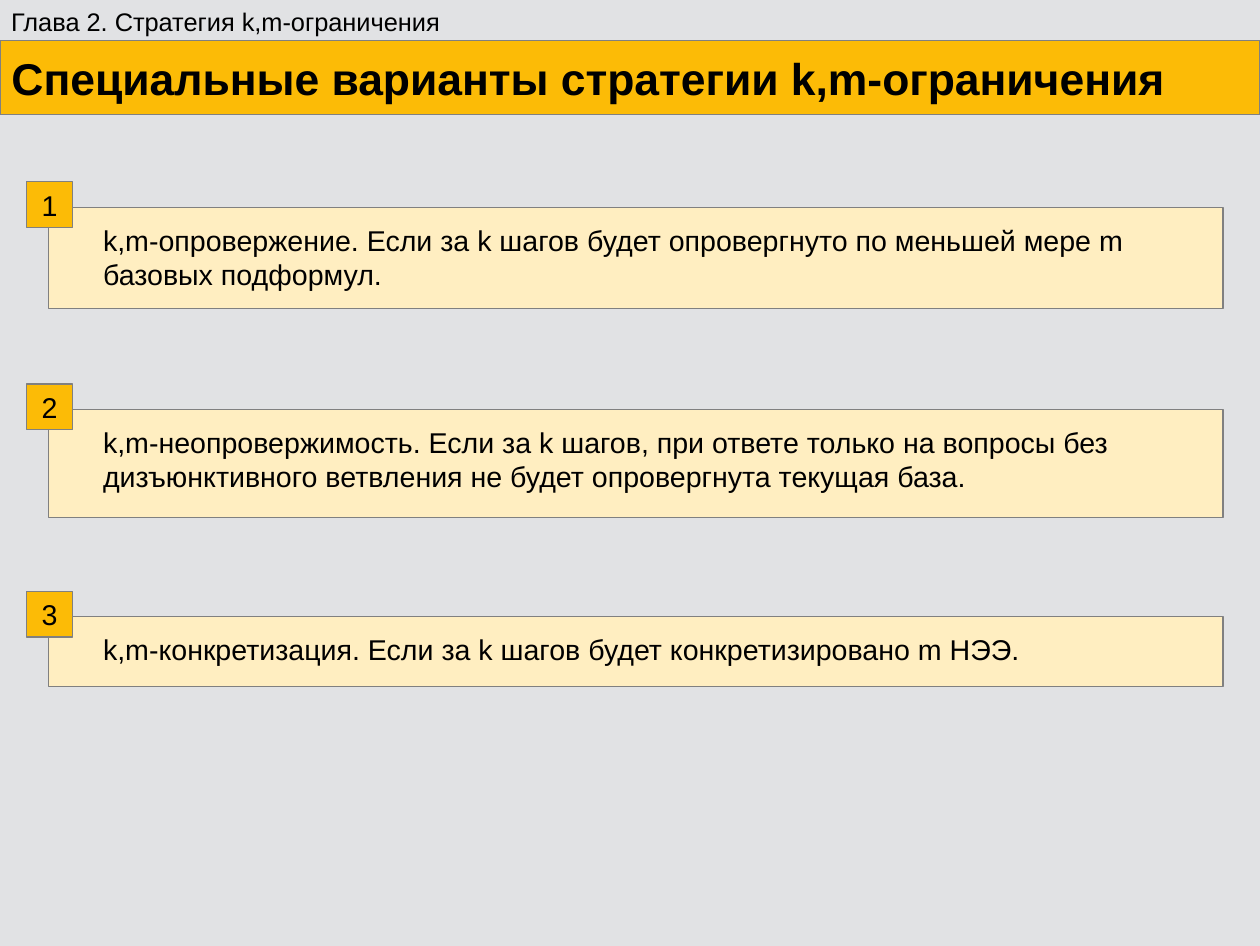
"""Build the slide on special variants of the k,m-restriction strategy."""
from pptx import Presentation
from pptx.dml.color import RGBColor
from pptx.enum import shapes, text
from pptx.util import Cm, Pt

AMBER, CREAM, GRAY = "FCBB06", "FFEEC1", "808080"


def paint(shape, color):
    shape.fill.solid()
    shape.fill.fore_color.rgb = RGBColor.from_string(color)
    shape.line.color.rgb = RGBColor.from_string(GRAY)
    shape.line.width = Pt(0)


def write(shape, words, size, align=text.PP_ALIGN.LEFT, wrap=False, bold=False):
    frame = shape.text_frame
    frame.text = words
    frame.word_wrap = wrap
    frame.auto_size = text.MSO_AUTO_SIZE.NONE
    for paragraph in frame.paragraphs:
        paragraph.alignment = align
        paragraph.font.name = "Arial"
        paragraph.font.size = Pt(size)
        paragraph.font.bold = bold
        paragraph.font.color.rgb = RGBColor.from_string("000000")


presentation = Presentation()
presentation.slide_width, presentation.slide_height = Cm(27.99), Cm(21.01)
slide = presentation.slides.add_slide(presentation.slide_layouts[5])
slide.background.fill.solid()
slide.background.fill.fore_color.rgb = RGBColor.from_string("E1E2E4")

title = slide.shapes.title
title.left, title.top, title.width, title.height = Cm(0), Cm(0.9), Cm(27.99), Cm(1.65)
paint(title, AMBER)
write(title, "Специальные варианты стратегии k,m-ограничения", 28, bold=True)
title.text_frame.vertical_anchor = text.MSO_ANCHOR.MIDDLE

chapter = slide.shapes.add_textbox(Cm(0), Cm(0.02), Cm(10.03), Cm(0.89))
write(chapter, "Глава 2. Стратегия k,m-ограничения", 16)

variants = [
    (4.61, 2.25, 24.38, 1.68, "k,m-опровержение. Если за k шагов будет опровергнуто "
     "по меньшей мере m базовых подформул."),
    (9.1, 2.39, 24.89, 1.68, "k,m-неопровержимость. Если за k шагов, при ответе только на вопросы без\n"
     "дизъюнктивного ветвления не будет опровергнута текущая база."),
    (13.7, 1.55, 24.89, 0.97, "k,m-конкретизация. Если за k шагов будет конкретизировано m НЭЭ."),
]
for number, (top, height, text_width, text_height, words) in enumerate(variants, 1):
    panel = slide.shapes.add_shape(
        shapes.MSO_SHAPE.RECTANGLE, Cm(1.08), Cm(top), Cm(26.09), Cm(height))
    panel.shadow.inherit = False
    paint(panel, CREAM)

    description = slide.shapes.add_textbox(
        Cm(2.04), Cm(top + 0.21), Cm(text_width), Cm(text_height))
    write(description, words, 18, wrap=True)

    badge = slide.shapes.add_shape(
        shapes.MSO_SHAPE.RECTANGLE, Cm(0.59), Cm(top - 0.57), Cm(1.02), Cm(1.02))
    badge.shadow.inherit = False
    paint(badge, AMBER)
    write(badge, str(number), 18, text.PP_ALIGN.CENTER)

presentation.save("out.pptx")
